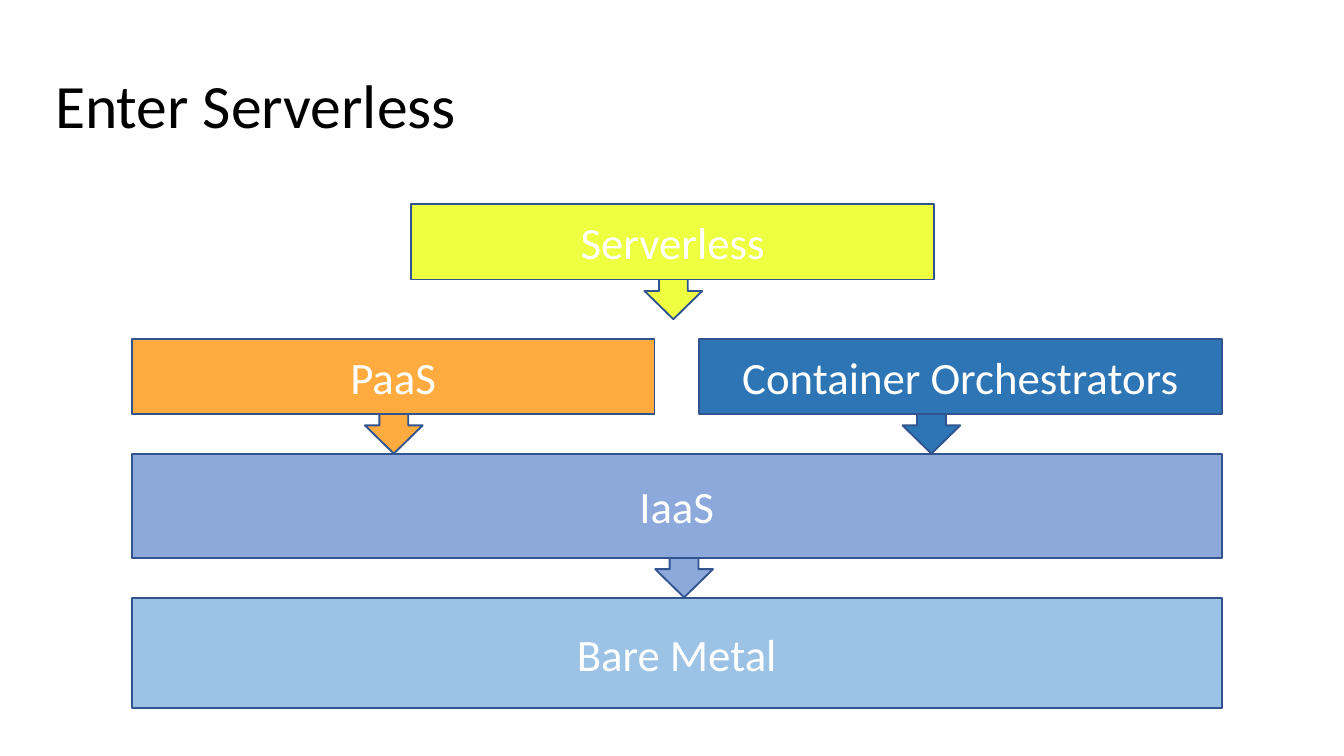
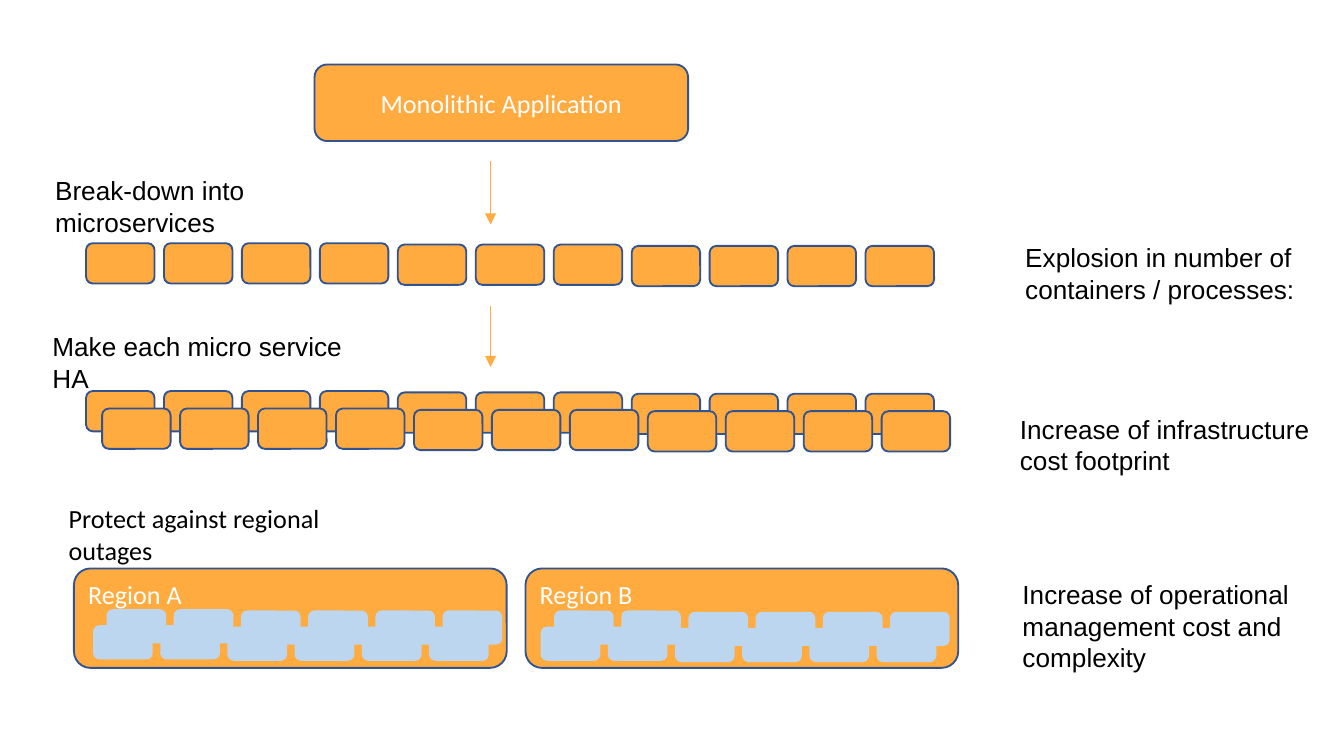
from dataclasses import dataclass
from typing import Optional

from lxml import etree
from pptx import Presentation
from pptx.dml.color import RGBColor
from pptx.enum import shapes as sh, text as tx
from pptx.oxml.ns import qn
from pptx.util import Inches, Pt

ORANGE, BLUE, YELLOW = "FFAB40", "2E75B5", "EEFF41"
LAVENDER, SKY, PALE = "8DA9DB", "9CC2E5", "BBD6EE"
OUTLINE, WHITE, BLACK = "31538F", "FFFFFF", "000000"
BODY, LABEL = "Calibri", "Arial"
RECT = sh.MSO_SHAPE.RECTANGLE
ROUND = sh.MSO_SHAPE.ROUNDED_RECTANGLE
ARROW = sh.MSO_SHAPE.RIGHT_ARROW
MIDDLE, TOP = tx.MSO_ANCHOR.MIDDLE, tx.MSO_ANCHOR.TOP
LEFT, CENTER = tx.PP_ALIGN.LEFT, tx.PP_ALIGN.CENTER


@dataclass(frozen=True)
class Box:
    x: float
    y: float
    w: float
    h: float

    def lengths(self) -> tuple:
        return tuple(Inches(v) for v in (self.x, self.y, self.w, self.h))


@dataclass(frozen=True)
class Tier:
    name: str
    box: Box
    fill: str
    arrow_x: Optional[float] = None


@dataclass(frozen=True)
class Note:
    text: str
    box: Box
    font: str = LABEL
    anchor: tx.MSO_ANCHOR = TOP
    inset: tuple = (0.07, 0.04)


@dataclass(frozen=True)
class TileRow:
    """Tiles in a row; each index in dips starts a slightly lower run."""
    x: float
    y: float
    count: int
    pitch: float
    w: float
    h: float
    dips: tuple
    fill: str
    line: str


def color(value: str) -> RGBColor:
    return RGBColor.from_string(value)


def write(sp, text: str, size: float, ink: str, font: str = BODY, align=LEFT,
          anchor=MIDDLE, inset: tuple = (0.07, 0.04)) -> None:
    tf = sp.text_frame
    tf.word_wrap = True
    tf.vertical_anchor = anchor
    tf.margin_left = tf.margin_right = Inches(inset[0])
    tf.margin_top = tf.margin_bottom = Inches(inset[1])
    tf.text = text
    for p in tf.paragraphs:
        p.alignment = align
        p.font.name, p.font.size = font, Pt(size)
        p.font.color.rgb = color(ink)


def add_block(shapes, kind, box: Box, fill: str, line: str = OUTLINE):
    sp = shapes.add_shape(kind, *box.lengths())
    sp.shadow.inherit = False
    sp.fill.solid()
    sp.fill.fore_color.rgb = color(fill)
    sp.line.color.rgb = color(line)
    sp.line.width = Pt(1)
    return sp


def add_title(s, text: str) -> None:
    sp = s.shapes.add_textbox(*Box(0.34, 0.49, 9.32, 0.63).lengths())
    write(sp, text, 33, BLACK)
    sp.text_frame.paragraphs[0].line_spacing = 0.9


def add_note(s, note: Note) -> None:
    sp = s.shapes.add_textbox(*note.box.lengths())
    write(sp, note.text, 14, BLACK, note.font, anchor=note.anchor, inset=note.inset)


def add_tier(s, tier: Tier) -> None:
    """A layer of the stack, with the arrow to the next one behind its lower edge."""
    shapes = s.shapes
    if tier.arrow_x is not None:
        shapes = shapes.add_group_shape().shapes
        bottom = tier.box.y + tier.box.h
        arrow = add_block(shapes, ARROW, Box(tier.arrow_x, bottom - 0.13, 0.42, 0.43), tier.fill)
        arrow.rotation = 90
    write(add_block(shapes, RECT, tier.box, tier.fill), tier.name, 24, WHITE, align=CENTER)


def add_tiles(shapes, row: TileRow) -> None:
    for i in range(row.count):
        y = row.y + 0.01 * sum(i >= dip for dip in row.dips)
        add_block(shapes, ROUND, Box(row.x + i * row.pitch, y, row.w, row.h), row.fill, row.line)


def add_services(s, x: float, y: float) -> None:
    add_tiles(s.shapes, TileRow(x, y, 11, 0.58, 0.51, 0.3, (4, 7), ORANGE, OUTLINE))


def add_region(s, name: str, x: float) -> None:
    sp = add_block(s.shapes, ROUND, Box(x, 4.23, 3.22, 0.74), ORANGE)
    write(sp, name, 14, WHITE, anchor=TOP)


def add_pods(s, x: float, y: float) -> None:
    pods = s.shapes.add_group_shape().shapes
    for dx, dy in ((0, 0.12), (0.1, 0)):
        add_tiles(pods, TileRow(x + dx, y + dy, 6, 0.5, 0.43, 0.24, (2,), PALE, PALE))


def add_step_arrow(s, x: float, y1: float, y2: float) -> None:
    cn = s.shapes.add_connector(sh.MSO_CONNECTOR.STRAIGHT,
                                Inches(x), Inches(y1), Inches(x), Inches(y2))
    cn.line.color.rgb = color(ORANGE)
    cn.line.width = Pt(0.75)
    sp_pr = cn._element.spPr
    etree.SubElement(sp_pr.find(qn("a:ln")), qn("a:tailEnd"), type="triangle")
    etree.SubElement(sp_pr, qn("a:effectLst"))


TIERS = (
    Tier("Bare Metal", Box(0.98, 4.45, 8.11, 0.82), SKY),
    Tier("PaaS", Box(0.98, 2.52, 3.89, 0.56), ORANGE, 2.72),
    Tier("Container Orchestrators", Box(5.2, 2.52, 3.89, 0.56), BLUE, 6.72),
    Tier("IaaS", Box(0.98, 3.38, 8.11, 0.77), LAVENDER, 4.88),
)
SERVERLESS = Tier("Serverless", Box(3.06, 1.52, 3.89, 0.56), YELLOW, 4.8)

STEPS = (
    Note("Break-down into microservices", Box(0.34, 1.26, 2.73, 0.3)),
    Note("Make each micro service HA", Box(0.32, 2.42, 2.56, 0.3)),
    Note("Protect against regional outages", Box(0.44, 3.7, 2.62, 0.3), BODY),
)

EFFECTS = tuple(Note(text, box, anchor=MIDDLE, inset=(0.1, 0.1)) for text, box in (
    ("Explosion in number of\ncontainers / processes:", Box(7.53, 1.62, 2.28, 0.82)),
    ("Increase of infrastructure cost footprint", Box(7.49, 2.94, 2.45, 0.74)),
    ("Increase of operational\nmanagement cost and\ncomplexity", Box(7.51, 4.17, 2.33, 0.97)),
))


def build_stack(s) -> None:
    for tier in TIERS:
        add_tier(s, tier)
    add_title(s, "Enter Serverless")
    add_tier(s, SERVERLESS)


def build_breakdown(s) -> None:
    monolith = add_block(s.shapes, ROUND, Box(2.34, 0.48, 2.78, 0.57), ORANGE)
    write(monolith, "Monolithic Application", 14, WHITE, align=CENTER)
    for x, y in ((0.64, 1.81), (0.64, 2.91), (0.76, 3.04)):
        add_services(s, x, y)
    for y1, y2 in ((1.2, 1.67), (2.28, 2.73)):
        add_step_arrow(s, 3.65, y1, y2)
    for note in STEPS:
        add_note(s, note)
    for name, x in (("Region A", 0.55), ("Region B", 3.91)):
        add_region(s, name, x)
    for x, y in ((0.7, 4.54), (4.03, 4.55)):
        add_pods(s, x, y)
    for note in EFFECTS:
        add_note(s, note)


def main() -> None:
    prs = Presentation()
    prs.slide_width = Inches(10)
    prs.slide_height = prs.slide_width * 9 // 16
    for build in (build_stack, build_breakdown):
        build(prs.slides.add_slide(prs.slide_layouts[6]))
    prs.save("out.pptx")


if __name__ == "__main__":
    main()
